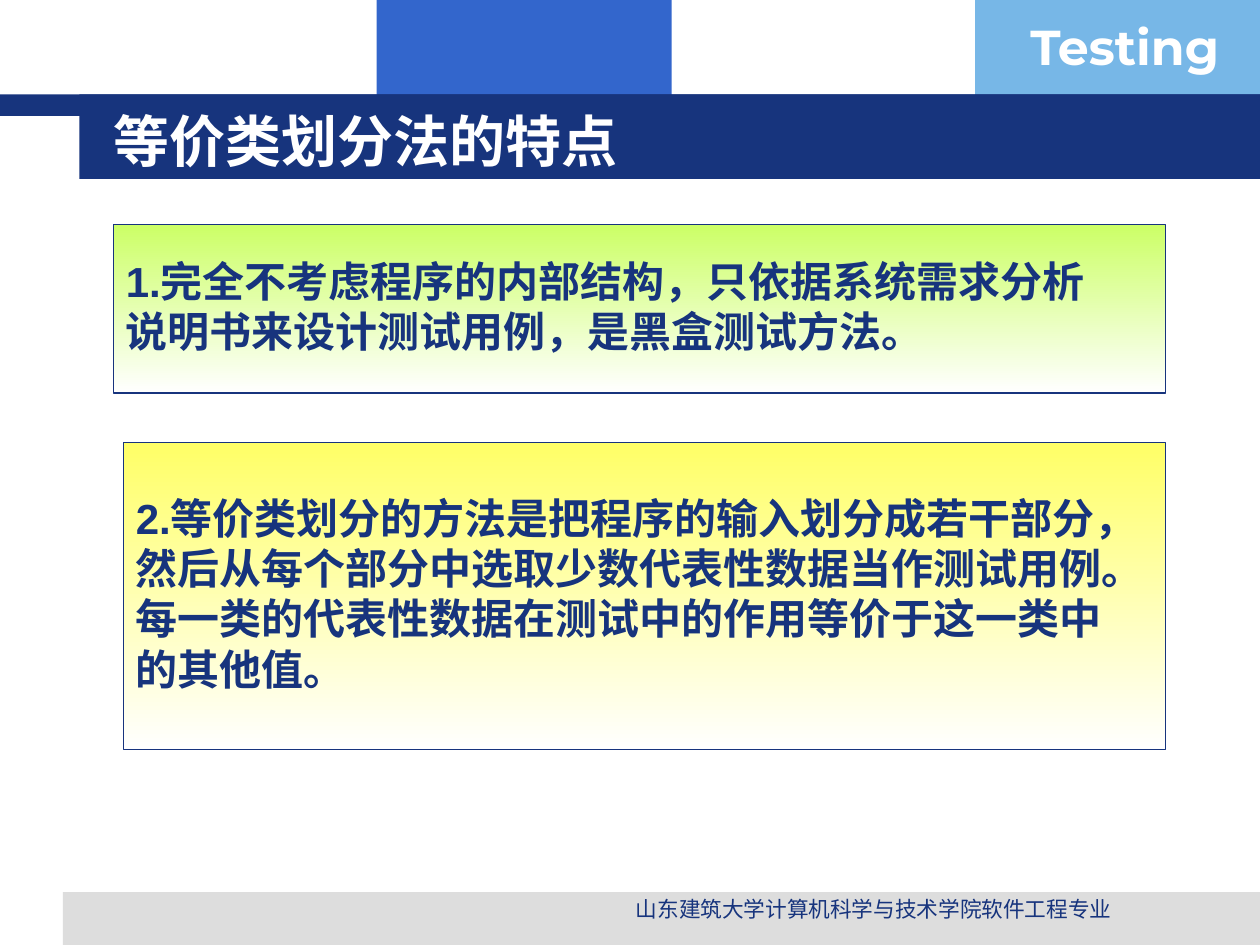
from dataclasses import dataclass

from pptx import Presentation
from pptx.dml.color import RGBColor
from pptx.enum.shapes import MSO_SHAPE
from pptx.enum.text import MSO_ANCHOR, PP_ALIGN
from pptx.oxml.ns import qn
from pptx.util import Inches, Pt


@dataclass(frozen=True)
class Theme:
    navy: str = "17347D"
    blue: str = "3366CC"
    sky: str = "77B7E7"
    grey: str = "DDDDDD"
    white: str = "FFFFFF"
    lime: str = "CCFF66"
    yellow: str = "FFFF66"
    latin: str = "Arial"
    chinese: str = "Noto Sans CJK SC"
    brand: str = "Montserrat"
    title_size: float = 32
    brand_size: float = 28
    body_size: float = 24
    footer_size: float = 12.4
    line_height: float = 1.2


class SlideBuilder:
    def __init__(self, slide, theme):
        self.slide = slide
        self.theme = theme

    def style(self, paragraph, size, color, latin, bold=True):
        """Format every run, with the Chinese font for East Asian text."""
        for run in paragraph.runs:
            run.font.size = Pt(size)
            run.font.bold = bold
            run.font.name = latin
            run.font.color.rgb = RGBColor.from_string(color)
            properties = run.font._element
            east_asian = properties.makeelement(
                qn("a:ea"), {"typeface": self.theme.chinese})
            properties.find(qn("a:latin")).addnext(east_asian)

    def rectangle(self, left, top, width, height):
        block = self.slide.shapes.add_shape(
            MSO_SHAPE.RECTANGLE, Inches(left), Inches(top),
            Inches(width), Inches(height))
        block.shadow.inherit = False
        return block

    def band(self, left, top, width, height, color):
        block = self.rectangle(left, top, width, height)
        block.fill.solid()
        block.fill.fore_color.rgb = RGBColor.from_string(color)
        block.line.fill.background()

    def label(self, left, top, width, height, text, size, color, latin,
              align=PP_ALIGN.LEFT, bold=True):
        box = self.slide.shapes.add_textbox(
            Inches(left), Inches(top), Inches(width), Inches(height))
        frame = box.text_frame
        frame.word_wrap = True
        frame.text = text
        paragraph = frame.paragraphs[0]
        paragraph.alignment = align
        paragraph.line_spacing = Pt(size * self.theme.line_height)
        self.style(paragraph, size, color, latin, bold)

    def title(self, left, top, width, height, text):
        heading = self.slide.shapes.title
        heading.left, heading.top = Inches(left), Inches(top)
        heading.width, heading.height = Inches(width), Inches(height)
        frame = heading.text_frame
        frame.text = text
        frame.vertical_anchor = MSO_ANCHOR.MIDDLE
        paragraph = frame.paragraphs[0]
        paragraph.alignment = PP_ALIGN.LEFT
        self.style(paragraph, self.theme.title_size, self.theme.white,
                   self.theme.chinese)
        # The title must lie in front of the banner.
        heading.element.getparent().append(heading.element)

    def panel(self, left, top, width, height, color, lines):
        """Framed box that fades from a colour at the top to white."""
        theme = self.theme
        block = self.rectangle(left, top, width, height)
        block.fill.gradient()
        block.fill.gradient_angle = 270
        for stop, shade in zip(block.fill.gradient_stops, (color, theme.white)):
            stop.color.rgb = RGBColor.from_string(shade)
        block.line.color.rgb = RGBColor.from_string(theme.navy)
        block.line.width = Pt(0.75)
        frame = block.text_frame
        frame.word_wrap = False
        frame.vertical_anchor = MSO_ANCHOR.MIDDLE
        frame.margin_top = 0
        frame.text = "\n".join(lines)
        for paragraph in frame.paragraphs:
            paragraph.alignment = PP_ALIGN.LEFT
            paragraph.line_spacing = Pt(theme.body_size * theme.line_height)
            self.style(paragraph, theme.body_size, theme.navy, theme.latin)


def main():
    theme = Theme()
    presentation = Presentation()
    presentation.slide_width = Inches(10)
    presentation.slide_height = Inches(7.5)
    slide = presentation.slides.add_slide(presentation.slide_layouts[5])
    builder = SlideBuilder(slide, theme)

    for band in (
        (2.99, 0, 2.34, 0.92, theme.blue),
        (7.74, 0, 2.26, 0.92, theme.sky),
        (0.5, 7.08, 9.5, 0.42, theme.grey),
        (0, 0.75, 10, 0.17, theme.navy),
        (0.63, 0.75, 9.37, 0.67, theme.navy),
    ):
        builder.band(*band)

    builder.label(8.08, 0.08, 1.93, 0.57, "Testing", theme.brand_size,
                  theme.white, theme.brand)
    builder.label(4.06, 7.06, 5.75, 0.31,
                  "山东建筑大学计算机科学与技术学院软件工程专业",
                  theme.footer_size, theme.navy, theme.latin,
                  PP_ALIGN.CENTER, bold=False)
    builder.title(0.8, 0.8, 8.53, 0.62, "等价类划分法的特点")

    builder.panel(0.9, 1.78, 8.35, 1.34, theme.lime, (
        "1.完全不考虑程序的内部结构，只依据系统需求分析",
        "说明书来设计测试用例，是黑盒测试方法。",
    ))
    builder.panel(0.98, 3.51, 8.27, 2.44, theme.yellow, (
        "2.等价类划分的方法是把程序的输入划分成若干部分，",
        "然后从每个部分中选取少数代表性数据当作测试用例。",
        "每一类的代表性数据在测试中的作用等价于这一类中",
        "的其他值。",
    ))
    presentation.save("out.pptx")


if __name__ == "__main__":
    main()
